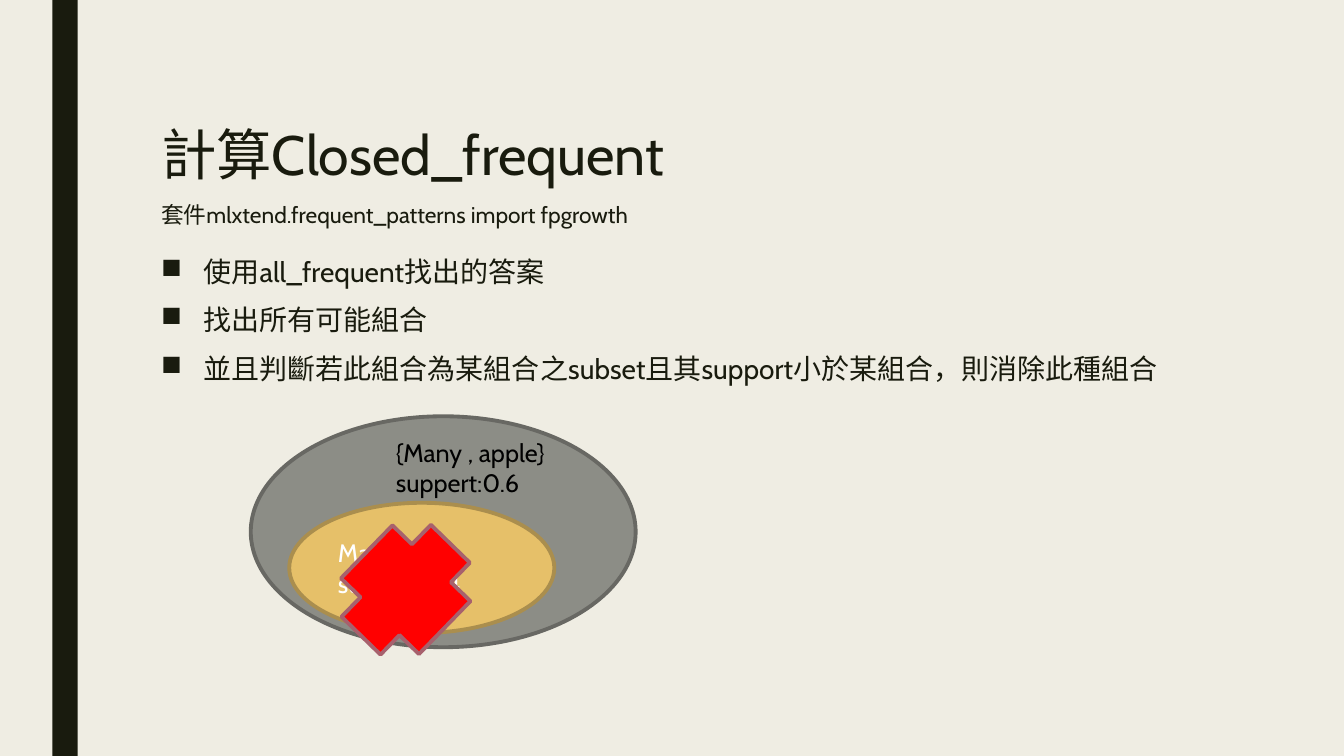
from lxml.etree import SubElement
from pptx import Presentation
from pptx.dml.color import RGBColor
from pptx.enum.shapes import MSO_SHAPE as Preset
from pptx.enum.text import MSO_ANCHOR as Anchor, PP_ALIGN as Align
from pptx.oxml.ns import qn
from pptx.util import Cm, Pt

CREAM = RGBColor(0xEF, 0xED, 0xE3)
INK = RGBColor(0x19, 0x1B, 0x0E)
GRAY = RGBColor(0x8C, 0x8D, 0x86)
GRAY_EDGE = RGBColor(0x68, 0x68, 0x63)
GOLD = RGBColor(0xE6, 0xC0, 0x69)
GOLD_EDGE = RGBColor(0xAA, 0x8E, 0x4E)
RED = RGBColor(0xFF, 0x00, 0x00)
RED_EDGE = RGBColor(0xA7, 0x61, 0x6D)
WHITE = RGBColor(0xFF, 0xFF, 0xFF)
BLACK = RGBColor(0x00, 0x00, 0x00)
FONT = "Cabin"

TITLE = [("計算Closed_frequent", 39.6),
         ("套件mlxtend.frequent_patterns import fpgrowth", 16.2)]
BULLETS = ["使用all_frequent找出的答案",
           "找出所有可能組合",
           "並且判斷若此組合為某組合之subset且其support小於某組合，則消除此種組合"]
SUPERSET = "{Many , apple} suppert:0.6"
SUBSET = "Many suppert:0.4"

# Boxes: left, top, width, height in cm
SIDEBAR_BOX = (1.32, 0, 0.64, 19.05)
TITLE_BOX = (3.81, 1.91, 26.67, 4.11)
BODY_BOX = (3.81, 6.35, 26.67, 9.96)
SUPERSET_OVAL = (6.32, 10.49, 9.7, 5.82)
SUBSET_OVAL = (7.29, 12.67, 6.68, 3.28)
SUPERSET_LABEL = (9.73, 10.9, 5.64, 1.8)
CROSS_BOX = (8.61, 13.49, 3.23, 2.74)
CROSS_ANGLE = 314.2
BULLET_INDENT = Cm(1.07)
BULLET_FORMAT = {"line_spacing": 0.94, "space_before": Pt(10), "space_after": Pt(2)}


def add_preset(slide, preset, box, fill, edge=None):
    shape = slide.shapes.add_shape(preset, *map(Cm, box))
    shape.shadow.inherit = False
    shape.fill.solid()
    shape.fill.fore_color.rgb = fill
    if edge is None:
        shape.line.fill.background()
    else:
        shape.line.color.rgb = edge
        shape.line.width = Pt(2.75)
    return shape


def add_text_box(slide, box, anchor=Anchor.TOP):
    frame = slide.shapes.add_textbox(*map(Cm, box)).text_frame
    frame.word_wrap = True
    frame.vertical_anchor = anchor
    return frame


def add_run(paragraph, text, size, color):
    run = paragraph.add_run()
    run.text = text
    for name, value in {"name": FONT, "size": Pt(size)}.items():
        setattr(run.font, name, value)
    run.font.color.rgb = color


def add_bullet(paragraph):
    properties = paragraph._p.get_or_add_pPr()
    properties.set("marL", str(BULLET_INDENT))
    properties.set("indent", str(-BULLET_INDENT))
    SubElement(properties, qn("a:buChar")).set("char", "■")


def add_heading(slide):
    paragraph = add_text_box(slide, TITLE_BOX, Anchor.MIDDLE).paragraphs[0]
    paragraph.line_spacing = 1.5
    for index, (text, size) in enumerate(TITLE):
        if index:
            paragraph.add_line_break()
        add_run(paragraph, text, size, INK)


def add_body(slide):
    frame = add_text_box(slide, BODY_BOX)
    for index, text in enumerate(BULLETS):
        paragraph = frame.add_paragraph() if index else frame.paragraphs[0]
        for name, value in BULLET_FORMAT.items():
            setattr(paragraph, name, value)
        add_bullet(paragraph)
        add_run(paragraph, text, 20, INK)


def add_set_diagram(slide):
    add_preset(slide, Preset.OVAL, SUPERSET_OVAL, GRAY, GRAY_EDGE)
    subset = add_preset(slide, Preset.OVAL, SUBSET_OVAL, GOLD, GOLD_EDGE)
    subset.text_frame.vertical_anchor = Anchor.MIDDLE
    paragraph = subset.text_frame.paragraphs[0]
    paragraph.alignment = Align.LEFT
    add_run(paragraph, SUBSET, 18, WHITE)
    label = add_text_box(slide, SUPERSET_LABEL)
    add_run(label.paragraphs[0], SUPERSET, 18, BLACK)
    cross = add_preset(slide, Preset.CROSS, CROSS_BOX, RED, RED_EDGE)
    cross.rotation = CROSS_ANGLE


def main():
    presentation = Presentation()
    presentation.slide_width, presentation.slide_height = Cm(33.87), Cm(19.05)
    slide = presentation.slides.add_slide(presentation.slide_layouts[6])
    slide.background.fill.solid()
    slide.background.fill.fore_color.rgb = CREAM
    add_preset(slide, Preset.RECTANGLE, SIDEBAR_BOX, INK)
    add_heading(slide)
    add_body(slide)
    add_set_diagram(slide)
    presentation.save("out.pptx")


if __name__ == "__main__":
    main()
